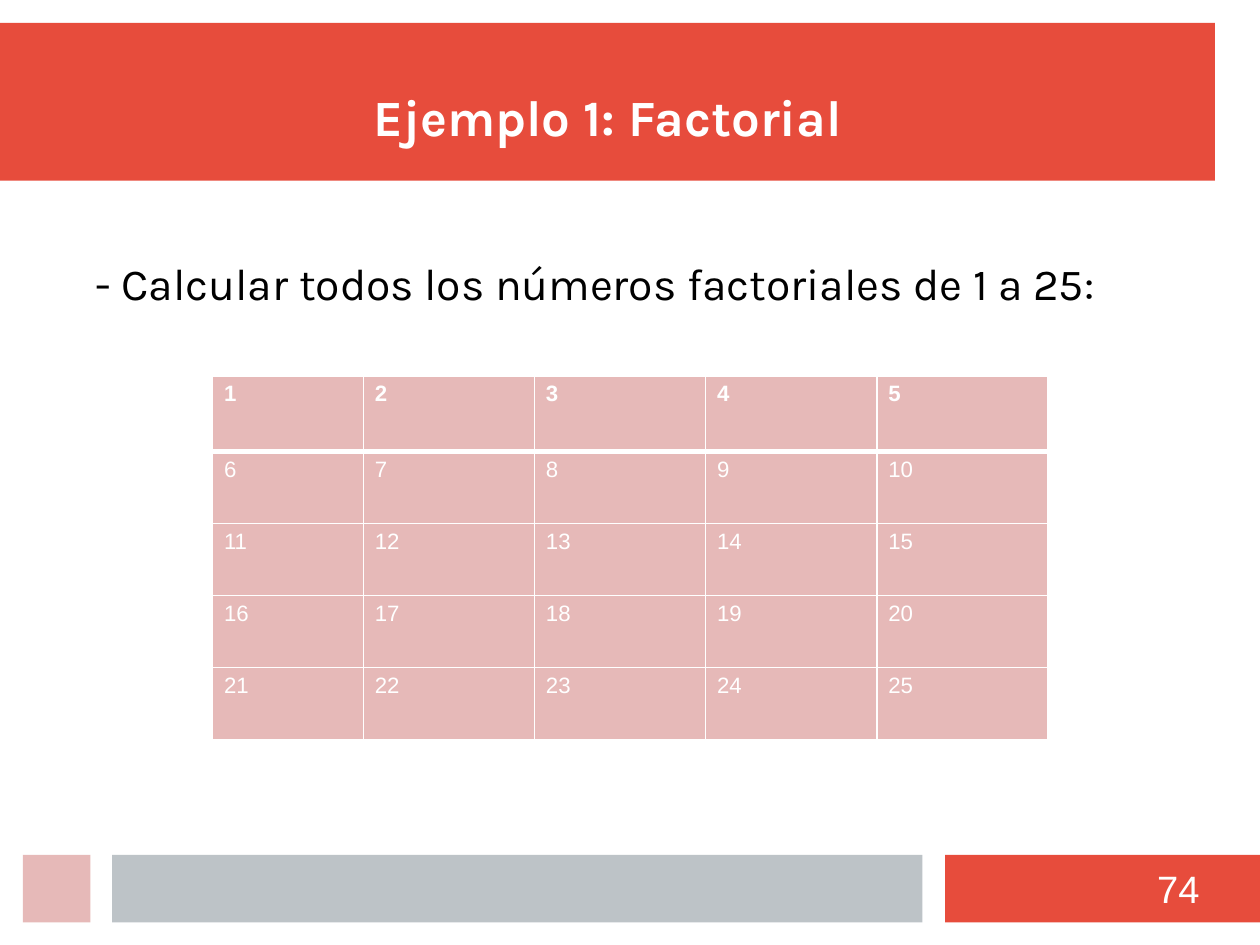
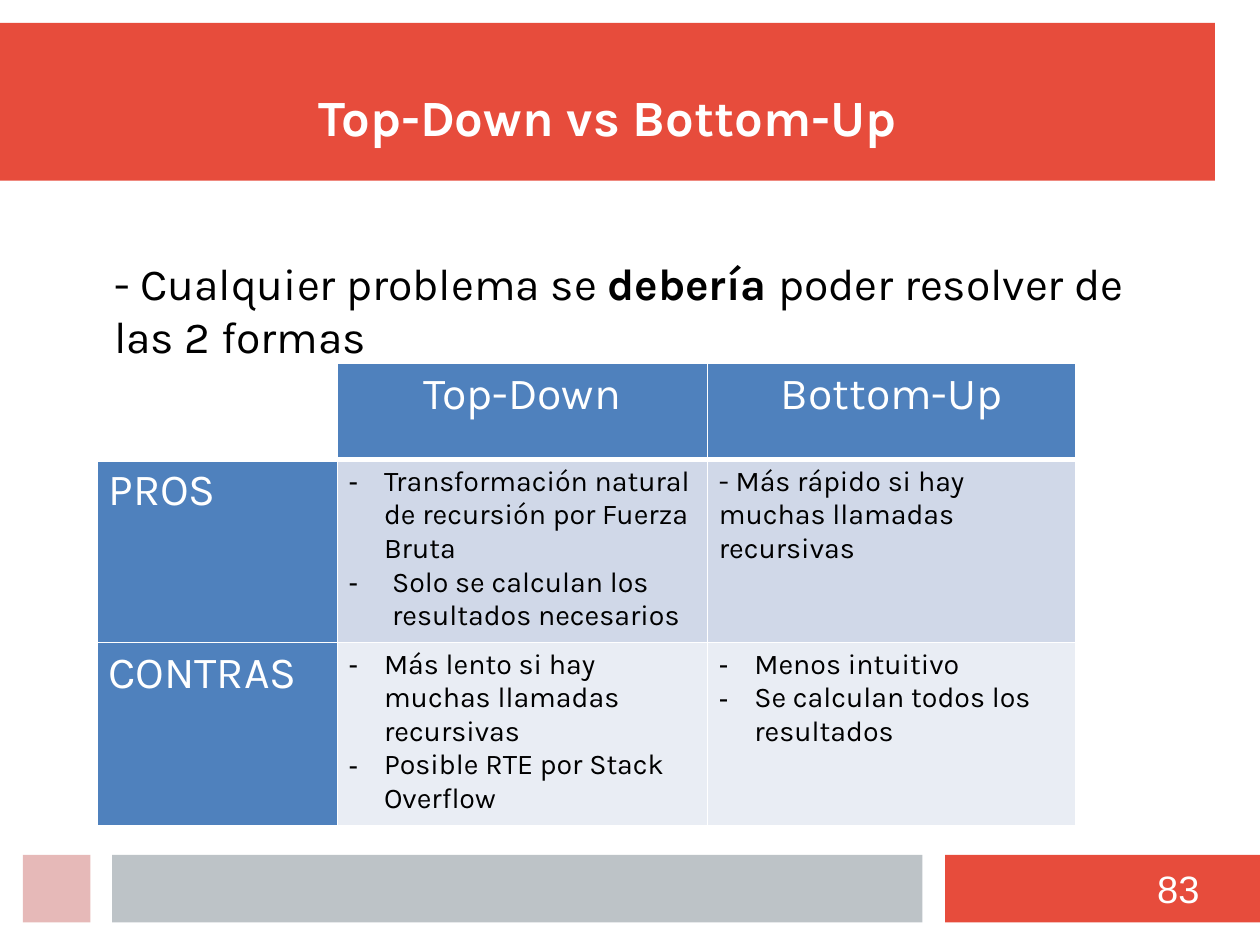
from dataclasses import dataclass

from lxml import etree
from pptx import Presentation
from pptx.dml.color import RGBColor
from pptx.enum import shapes, text
from pptx.oxml import ns
from pptx.util import Inches, Pt

RED = RGBColor(0xE7, 0x4C, 0x3C)
GREY = RGBColor(0xBD, 0xC3, 0xC7)
PINK = RGBColor(0xE6, 0xB9, 0xB8)
BLUE = RGBColor(0x4F, 0x81, 0xBD)
BLUE_LIGHT = RGBColor(0xD0, 0xD8, 0xE8)
BLUE_PALE = RGBColor(0xE9, 0xED, 0xF4)
WHITE = RGBColor(0xFF, 0xFF, 0xFF)
BLACK = RGBColor(0, 0, 0)

CM_PER_INCH = 2.54
CENTER = text.PP_ALIGN.CENTER
LEFT = text.PP_ALIGN.LEFT
TOP = text.MSO_ANCHOR.TOP
MIDDLE = text.MSO_ANCHOR.MIDDLE
BOTTOM = text.MSO_ANCHOR.BOTTOM


@dataclass(frozen=True)
class Area:
    left: float
    top: float
    width: float
    height: float

    def lengths(self) -> list:
        return [Inches(n) for n in (self.left, self.top, self.width, self.height)]


@dataclass(frozen=True)
class Style:
    size: float
    color: RGBColor
    font: str = "Karla"
    bold: bool = False
    align: text.PP_ALIGN = LEFT


@dataclass(frozen=True)
class Span:
    words: str
    bold: bool = False


@dataclass(frozen=True)
class Line:
    spans: tuple[Span, ...]
    indent: float = 0
    bullet: bool = False


@dataclass(frozen=True)
class Cell:
    lines: tuple[Line, ...]
    style: Style
    fill: RGBColor


BANDS = (
    (Area(0, 0.2, 10.63, 1.38), RED),
    (Area(8.27, 7.48, 2.76, 0.59), RED),
    (Area(0.98, 7.48, 7.09, 0.59), GREY),
    (Area(0.2, 7.48, 0.59, 0.59), PINK),
)
TITLE = Style(32, WHITE, bold=True, align=CENTER)
BODY = Style(28, BLACK)
NUMBER = Style(24, WHITE, "Arial", align=CENTER)
GRID_HEAD = Style(14, WHITE, "Arial", bold=True)
GRID = Style(14, WHITE, "Arial")
COLUMN_HEAD = Style(28, WHITE, align=CENTER)
ROW_HEAD = Style(28, WHITE)
POINT = Style(18, BLACK)


def plain(words: str) -> Line:
    return Line((Span(words),))


def point(words: str, indent: float = 0.31) -> Line:
    return Line((Span(words),), indent, bullet=True)


def add_bands(page, layout) -> None:
    """Draw the bands and hand them to the layout, which every page shares."""
    for area, color in BANDS:
        band = page.shapes.add_shape(shapes.MSO_SHAPE.RECTANGLE, *area.lengths())
        band.shadow.inherit = False
        band.fill.solid()
        band.fill.fore_color.rgb = color
        band.line.fill.background()
        layout.shapes.element.append(band.element)


def set_indent(para, line: Line) -> None:
    props = para._p.get_or_add_pPr()
    props.set("marL", str(Inches(line.indent)))
    props.set("indent", str(-Inches(line.indent) if line.bullet else 0))
    if line.bullet:
        color = etree.SubElement(props, ns.qn("a:buClr"))
        etree.SubElement(color, ns.qn("a:srgbClr"), val=str(BLACK))
        etree.SubElement(props, ns.qn("a:buFont"), typeface="Arial")
        etree.SubElement(props, ns.qn("a:buChar"), char="-")


def write(frame, lines: tuple[Line, ...], style: Style) -> None:
    for index, line in enumerate(lines):
        para = frame.add_paragraph() if index else frame.paragraphs[0]
        para.alignment = style.align
        set_indent(para, line)
        for span in line.spans:
            run = para.add_run()
            run.text = span.words
            run.font.name = style.font
            run.font.size = Pt(style.size)
            run.font.bold = style.bold or span.bold
            run.font.color.rgb = style.color


def add_text(page, area: Area, line: Line, style: Style,
             anchor: text.MSO_ANCHOR = TOP, margin: float = 0) -> None:
    frame = page.shapes.add_textbox(*area.lengths()).text_frame
    frame.word_wrap = True
    frame.vertical_anchor = anchor
    frame.margin_left = frame.margin_right = Inches(margin)
    frame.margin_top = frame.margin_bottom = Inches(margin)
    write(frame, (line,), style)


def set_borders(cell, top: float, bottom: float) -> None:
    props = cell._tc.get_or_add_tcPr()
    for side, width in (("L", 1), ("R", 1), ("T", top), ("B", bottom)):
        border = etree.SubElement(props, ns.qn(f"a:ln{side}"), w=str(Pt(width)))
        fill = etree.SubElement(border, ns.qn("a:solidFill"))
        etree.SubElement(fill, ns.qn("a:srgbClr"), val=str(WHITE))


def add_table(page, left: float, top: float, widths: list[float],
              heights: list[float], rows: list[list[Cell]]) -> None:
    area = Area(left, top, sum(widths), sum(heights))
    table = page.shapes.add_table(len(rows), len(widths), *area.lengths()).table
    table.first_row = table.horz_banding = False
    for column, width in zip(table.columns, widths):
        column.width = Inches(width)
    for row, height in zip(table.rows, heights):
        row.height = Inches(height)
    for r, row in enumerate(rows):
        for c, content in enumerate(row):
            cell = table.cell(r, c)
            set_borders(cell, 3 if r == 1 else 1, 3 if r == 0 else 1)
            cell.fill.solid()
            cell.fill.fore_color.rgb = content.fill
            write(cell.text_frame, content.lines, content.style)


def add_page(deck, layout, title: str, number: int, body_area: Area, body: Line):
    page = deck.slides.add_slide(layout)
    add_text(page, body_area, body, BODY, margin=0.1)
    add_text(page, Area(9.74, 7.46, 1.14, 0.63), plain(str(number)), NUMBER, MIDDLE)
    add_text(page, Area(0.2, 0.3, 10.24, 0.98), plain(title), TITLE, BOTTOM)
    return page


def main() -> None:
    # The page measures 28 by 21 cm
    deck = Presentation()
    deck.slide_width = Inches(28 / CM_PER_INCH)
    deck.slide_height = Inches(21 / CM_PER_INCH)
    layout = deck.slide_layouts[6]

    # Factorial: numbers 1 to 25 in a five by five grid
    page = add_page(
        deck, layout, "Ejemplo 1: Factorial", 74, Area(0.49, 2.14, 10.04, 5.12),
        Line((Span("- Calcular todos los números factoriales de 1 a 25:"),), 0.25))
    add_bands(page, layout)
    side = 5
    numbers = [[Cell((plain(str(r * side + c + 1)),), GRID if r else GRID_HEAD, PINK)
                for c in range(side)] for r in range(side)]
    first, total = 1.32, 7.31
    widths = [first] + [(total - first) / (side - 1)] * (side - 1)
    add_table(page, 1.86, 3.29, widths, [0.66] + [0.63] * (side - 1), numbers)

    # Comparison: pros and cons of both approaches
    page = add_page(
        deck, layout, "Top-Down vs Bottom-Up", 83, Area(0.65, 2.14, 9.29, 1.2),
        Line((Span("- Cualquier problema se "), Span("debería ", bold=True),
              Span("poder resolver de las 2 formas")), 0.25))
    comparison = [
        [Cell((), COLUMN_HEAD, WHITE),
         Cell((plain("Top-Down"),), COLUMN_HEAD, BLUE),
         Cell((plain("Bottom-Up"),), COLUMN_HEAD, BLUE)],
        [Cell((plain("PROS"),), ROW_HEAD, BLUE),
         Cell((point("Transformación natural de recursión por Fuerza Bruta"),
               point("Solo se calculan los resultados necesarios", 0.38)),
              POINT, BLUE_LIGHT),
         Cell((plain("- Más rápido si hay muchas llamadas recursivas"),),
              POINT, BLUE_LIGHT)],
        [Cell((plain("CONTRAS"),), ROW_HEAD, BLUE),
         Cell((point("Más lento si hay muchas llamadas recursivas"),
               point("Posible RTE por Stack Overflow")), POINT, BLUE_PALE),
         Cell((point("Menos intuitivo"),
               point("Se calculan todos los resultados")), POINT, BLUE_PALE)],
    ]
    add_table(page, 0.85, 3.18, [2.1, 3.24, 3.22], [0.84, 1.39, 1.39], comparison)

    deck.save("out.pptx")


if __name__ == "__main__":
    main()
